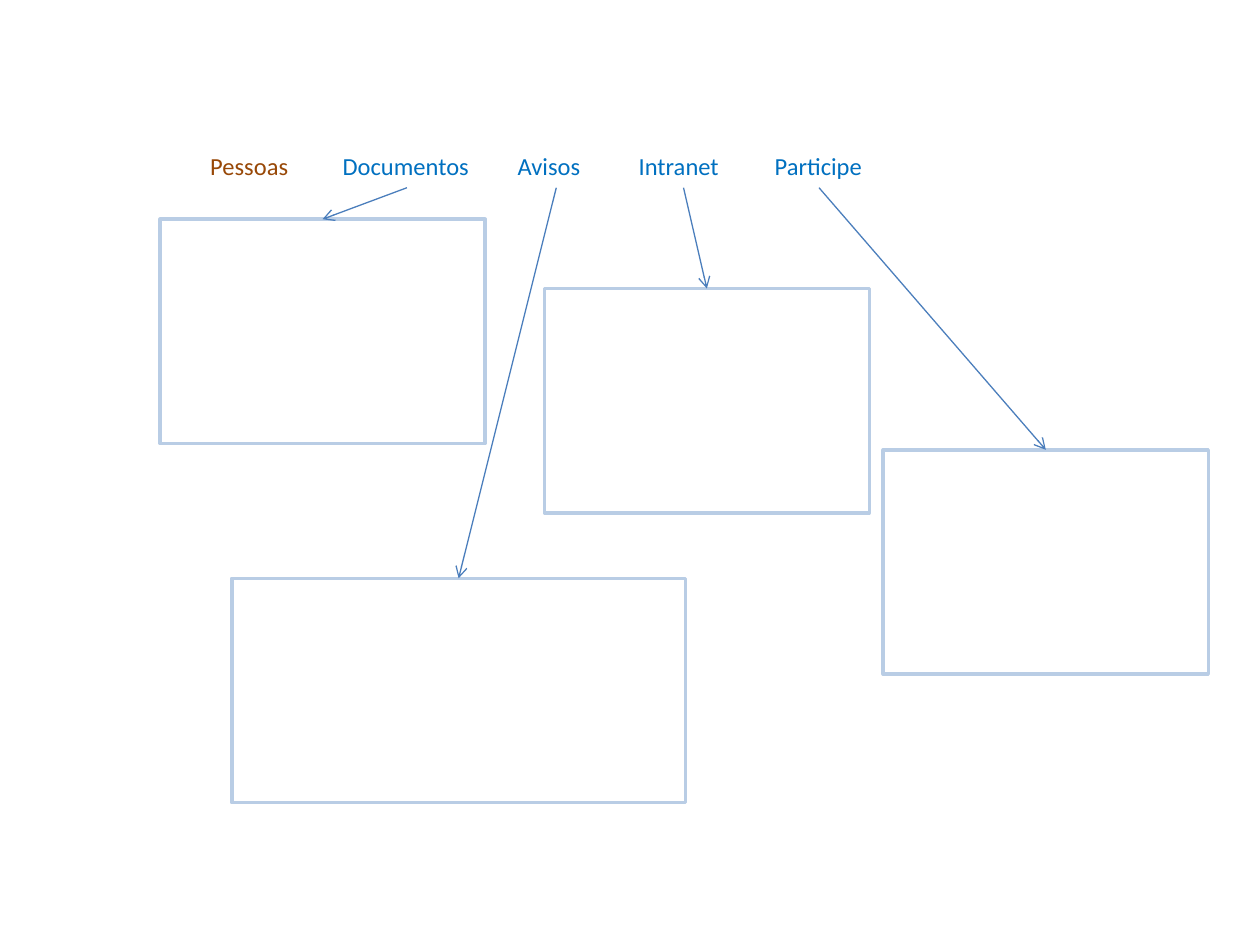
import pptx
import pptx.util
import pptx.dml.color
import pptx.enum.shapes
import pptx.enum.text
import pptx.oxml.ns
from lxml import etree
from pptx.util import Inches

COLORS = {
    "active": "984807",
    "link": "0070C0",
    "panel": "FFFFFF",
    "border": "B9CDE5",
    "arrow": "4B7EBC",
}
MENU_TOP, MENU_H = 1.15, 0.34
PANEL_W, PANEL_H = 2.58, 1.78
# name, left, width, colour
MENU = [
    ("Pessoas", 1.57, 0.89, "active"),
    ("Documentos", 2.62, 1.22, "link"),
    ("Avisos", 4.01, 0.81, "link"),
    ("Intranet", 4.97, 0.91, "link"),
    ("Participe", 6.05, 0.9, "link"),
]
# menu name: left, top, width
PANELS = {
    "Documentos": (1.27, 1.74, PANEL_W),
    "Avisos": (1.84, 4.59, 3.6),
    "Intranet": (4.32, 2.29, PANEL_W),
    "Participe": (7.01, 3.57, PANEL_W),
}
TOP_SITE, BOTTOM_SITE = 0, 2


def color(name):
    return pptx.dml.color.RGBColor.from_string(COLORS[name])


def add_label(slide, text, left, top, width, height, tint):
    box = slide.shapes.add_textbox(
        Inches(left), Inches(top), Inches(width), Inches(height))
    frame = box.text_frame
    frame.text = text
    frame.word_wrap = True
    frame.auto_size = pptx.enum.text.MSO_AUTO_SIZE.SHAPE_TO_FIT_TEXT
    font = frame.paragraphs[0].runs[0].font
    font.name = "Calibri"
    font.size = pptx.util.Pt(14)
    font.color.rgb = color(tint)
    return box


def add_menu(slide, top, height):
    """Place the menu row and return its labels by name."""
    return {name: add_label(slide, name, left, top, width, height, tint)
            for name, left, width, tint in MENU}


def add_panel(slide, left, top, width, height):
    panel = slide.shapes.add_shape(
        pptx.enum.shapes.MSO_SHAPE.RECTANGLE,
        Inches(left), Inches(top), Inches(width), Inches(height))
    panel.shadow.inherit = False
    panel.fill.solid()
    panel.fill.fore_color.rgb = color("panel")
    panel.line.color.rgb = color("border")
    panel.line.width = pptx.util.Pt(2)
    return panel


def add_arrow(slide, label, panel):
    """Link the bottom of a label to the top of its panel."""
    arrow = slide.shapes.add_connector(
        pptx.enum.shapes.MSO_CONNECTOR.STRAIGHT, 0, 0, 0, 0)
    arrow.begin_connect(label, BOTTOM_SITE)
    arrow.end_connect(panel, TOP_SITE)
    arrow.line.color.rgb = color("arrow")
    arrow.line.width = pptx.util.Pt(0.75)
    qn = pptx.oxml.ns.qn
    etree.SubElement(arrow.line._get_or_add_ln(), qn("a:tailEnd"), type="arrow")
    etree.SubElement(arrow._element.spPr, qn("a:effectLst"))


def main():
    deck = pptx.Presentation()
    deck.slide_width, deck.slide_height = Inches(10), Inches(7.5)
    slide = deck.slides.add_slide(deck.slide_layouts.get_by_name("Blank"))
    labels = add_menu(slide, MENU_TOP, MENU_H)
    panels = {name: add_panel(slide, *place, PANEL_H)
              for name, place in PANELS.items()}
    for name, panel in panels.items():
        add_arrow(slide, labels[name], panel)
    deck.save("out.pptx")


if __name__ == "__main__":
    main()
